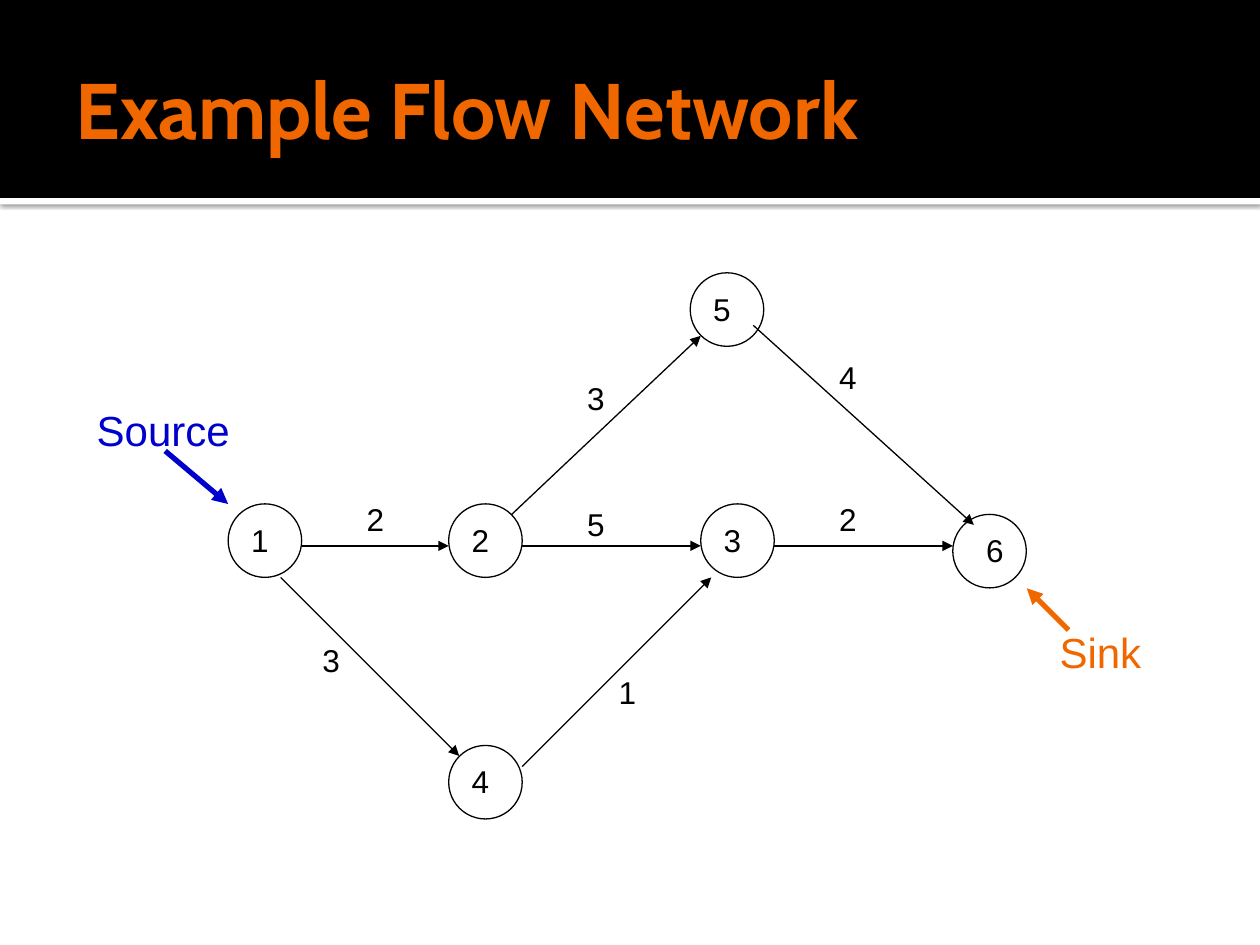
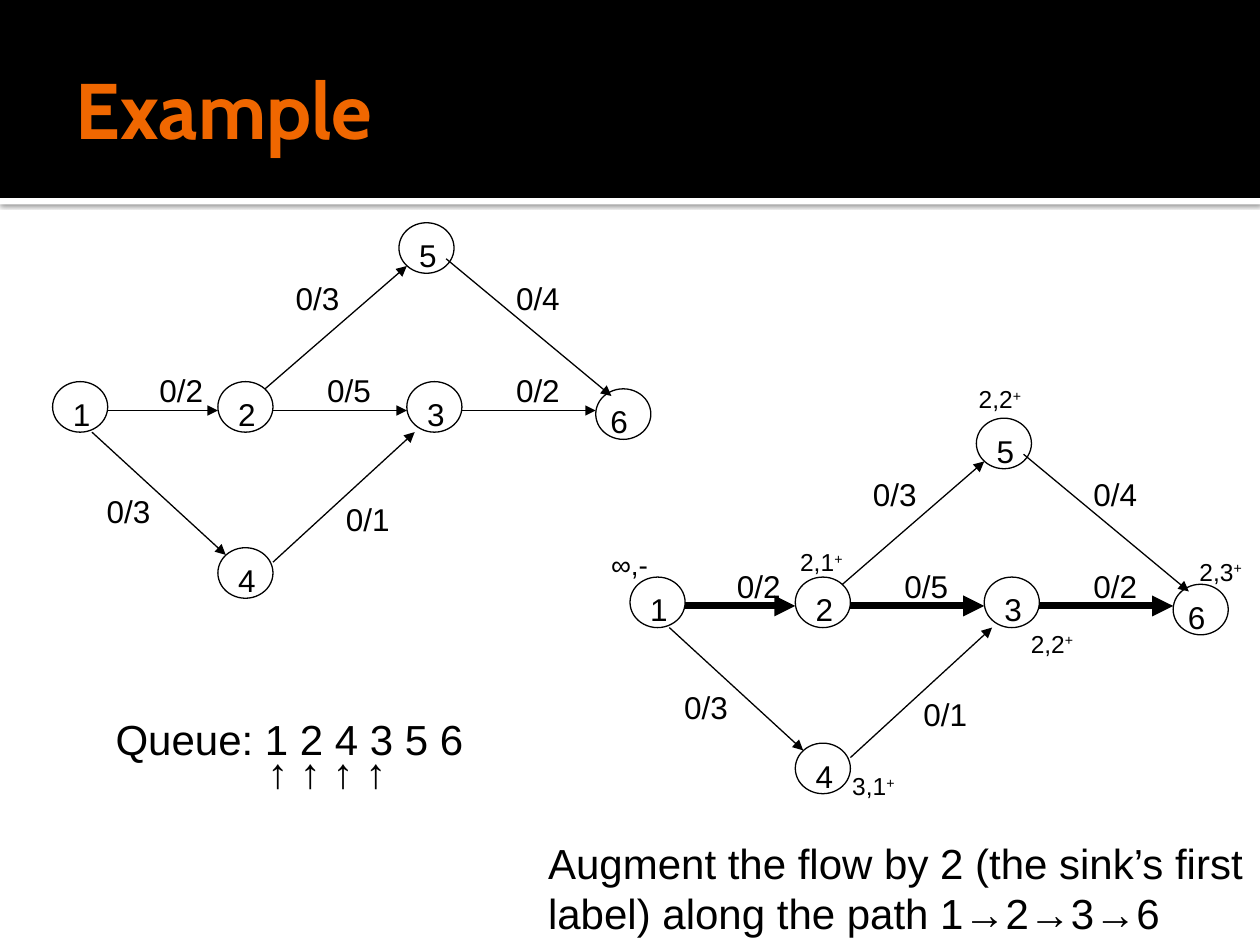
from lxml import etree
from pptx import Presentation
from pptx.dml.color import RGBColor
from pptx.enum.shapes import MSO_CONNECTOR, MSO_SHAPE
from pptx.enum.text import MSO_ANCHOR, MSO_AUTO_SIZE
from pptx.oxml import parse_xml
from pptx.oxml.ns import nsdecls, qn
from pptx.util import Cm, Pt

RECTANGLE, OVAL = MSO_SHAPE.RECTANGLE, MSO_SHAPE.OVAL
STRAIGHT = MSO_CONNECTOR.STRAIGHT
MIDDLE = MSO_ANCHOR.MIDDLE
GROW, FIXED = MSO_AUTO_SIZE.SHAPE_TO_FIT_TEXT, MSO_AUTO_SIZE.NONE

BLACK = RGBColor(0x00, 0x00, 0x00)
WHITE = RGBColor(0xFF, 0xFF, 0xFF)
ORANGE = RGBColor(0xF0, 0x67, 0x00)
BLUE = RGBColor(0x00, 0x00, 0xCC)
TITLE_FONT, BODY_FONT = "Cabin", "Arial"

SLIDE_WIDTH, SLIDE_HEIGHT = 25.4, 19.05
BAND_HEIGHT = 3.99
STRIP_HEIGHT = 0.13

# Every network is laid out on the same grid, stretched to its box.
GRID_COLUMNS, GRID_ROWS = 76, 52
NODE_CELLS = 7
NODES = {1: (0, 22), 4: (21, 45), 3: (45, 22), 2: (21, 22), 5: (44, 0), 6: (69, 23)}
EDGES = {
    (1, 4): ((5, 29), (22, 46)),
    (1, 2): ((7, 26), (21, 26)),
    (2, 5): ((27, 23), (45, 6)),
    (2, 3): ((28, 26), (45, 26)),
    (4, 3): ((28, 47), (46, 29)),
    (3, 6): ((52, 26), (69, 26)),
    (5, 6): ((50, 5), (71, 24)),
}
CAPACITIES = {
    (1, 2): ("2", 12, 21),
    (3, 6): ("2", 57, 21),
    (1, 4): ("3", 7.8, 34.5),
    (4, 3): ("1", 36, 37.5),
    (2, 3): ("5", 33, 21.5),
    (2, 5): ("3", 33, 9.5),
    (5, 6): ("4", 57, 7.5),
}
FLOWS = {
    (1, 2): ("0/2", 12, 19.7),
    (3, 6): ("0/2", 57.3, 19.7),
    (1, 4): ("0/3", 5.3, 36.5),
    (4, 3): ("0/1", 35.7, 37.5),
    (2, 3): ("0/5", 33.3, 19.7),
    (2, 5): ("0/3", 29.3, 7),
    (5, 6): ("0/4", 57.3, 7),
}
AUGMENTING_PATH = {(1, 2), (2, 3), (3, 6)}
SMALL_SIZE = (12.06, 7.57)


def style(font, size, color=BLACK, name=BODY_FONT, bold=False):
    font.size, font.name, font.bold = Pt(size), name, bold
    font.color.rgb = color


def add_text(shapes, text, box, size, color=BLACK, wrap=False):
    textbox = shapes.add_textbox(*map(Cm, box))
    frame = textbox.text_frame
    frame.word_wrap = wrap
    frame.auto_size = GROW
    frame.text = text
    for paragraph in frame.paragraphs:
        style(paragraph.font, size, color)
    return frame


def add_arrow(shapes, start, end, color=BLACK, width=0.75):
    arrow = shapes.add_connector(STRAIGHT, *map(Cm, (*start, *end)))
    arrow.line.color.rgb = color
    arrow.line.width = Pt(width)
    etree.SubElement(arrow.line._get_or_add_ln(), qn("a:tailEnd"), type="triangle")
    etree.SubElement(arrow._element.spPr, qn("a:effectLst"))


def add_band(slide, top, height, color):
    band = slide.shapes.add_shape(RECTANGLE, 0, Cm(top), Cm(SLIDE_WIDTH), Cm(height))
    band.shadow.inherit = False
    band.fill.solid()
    band.fill.fore_color.rgb = color
    band.line.fill.background()
    return band


def add_titled_slide(prs, title):
    slide = prs.slides.add_slide(prs.slide_layouts[6])
    strip = add_band(slide, BAND_HEIGHT, STRIP_HEIGHT, WHITE)
    strip._element.spPr.find(qn("a:effectLst")).append(parse_xml(
        f'<a:outerShdw {nsdecls("a")} blurRad="31750" dist="10160" dir="5400000" '
        'algn="tl" rotWithShape="0"><a:srgbClr val="000000">'
        '<a:alpha val="60000"/></a:srgbClr></a:outerShdw>'))
    add_band(slide, 0, BAND_HEIGHT, BLACK)
    frame = add_text(slide.shapes, title, (1.27, 0.43, 22.86, 3.48), 45, wrap=True)
    frame.auto_size = FIXED
    frame.vertical_anchor = MIDDLE
    style(frame.paragraphs[0].font, 45, ORANGE, TITLE_FONT, True)
    return slide


def add_network(slide, box, edge_labels, last_number_shift, thick_edges=()):
    """Draw the flow network in box; last_number_shift moves the 6 inside its node."""
    left, top, width, height = box
    column, row = width / GRID_COLUMNS, height / GRID_ROWS
    shapes = slide.shapes.add_group_shape().shapes

    def place(x, y):
        return left + x * column, top + y * row

    def add_label(text, x, y):
        label_width = 0.86 if len(text) == 1 else 1.4
        add_text(shapes, text, (*place(x, y), label_width, 1.02), 18)

    for x, y in NODES.values():
        node = shapes.add_shape(OVAL, *map(Cm, (
            *place(x, y), NODE_CELLS * column, NODE_CELLS * row)))
        node.shadow.inherit = False
        node.fill.background()
        node.line.color.rgb = BLACK
        node.line.width = Pt(0.75)
    for edge, (start, end) in EDGES.items():
        add_arrow(shapes, place(*start), place(*end),
                  width=4 if edge in thick_edges else 0.75)
    for number, (x, y) in NODES.items():
        add_label(str(number), x + (last_number_shift if number == 6 else 1), y + 1)
    for label in edge_labels.values():
        add_label(*label)


def add_node_label(slide, amount, left, top):
    """Write a node's label, whose sign is raised."""
    frame = add_text(slide.shapes, amount, (left, top, 1.47, 0.84), 14, wrap=True)
    sign = frame.paragraphs[0].add_run()
    sign.text = "+"
    sign._r.get_or_add_rPr().set("baseline", "30000")


def add_queue(slide, box):
    frame = add_text(slide.shapes, "Queue: 1 2 4 3 5 6\n↑ ↑ ↑ ↑", box, 24, wrap=True)
    for paragraph in frame.paragraphs:
        paragraph.line_spacing = 0.25
    visited = frame.paragraphs[1]
    visited.space_before = Pt(12)
    visited._p.get_or_add_pPr().set("marL", str(Cm(3.06)))


def build_flow_network(prs):
    slide = add_titled_slide(prs, "Example Flow Network")
    add_network(slide, (4.6, 5.5, 16.09, 11.01), CAPACITIES, 2)
    add_text(slide.shapes, "Source", (1.7, 8.03, 3.23, 1.27), 24, BLUE)
    add_text(slide.shapes, "Sink", (21.11, 12.5, 2.18, 1.27), 24, ORANGE)
    add_arrow(slide.shapes, (3.33, 9.09), (4.6, 10.16), BLUE, 3)
    add_arrow(slide.shapes, (21.54, 12.7), (20.7, 11.86), ORANGE, 3)


def build_augmentation(prs):
    slide = add_titled_slide(prs, "Example")
    add_queue(slide, (2.08, 14.9, 8.03, 1.27))
    add_text(slide.shapes,
             "Augment the flow by 2 (the sink’s first label) along the path 1→2→3→6",
             (10.8, 16.76, 14.6, 2.31), 24, wrap=True)
    add_network(slide, (1.06, 4.49, *SMALL_SIZE), FLOWS, 0.3)
    add_network(slide, (12.7, 8.43, *SMALL_SIZE), FLOWS, 0.3, AUGMENTING_PATH)
    add_text(slide.shapes, "∞,-", (12.07, 10.92, 1.27, 0.94), 16, wrap=True)
    for amount, left, top in (
        ("2,1", 15.88, 10.9),
        ("2,2", 19.48, 7.62),
        ("2,3", 23.93, 11.1),
        ("2,2", 20.53, 12.55),
        ("3,1", 16.93, 15.42),
    ):
        add_node_label(slide, amount, left, top)


def main():
    prs = Presentation()
    prs.slide_width, prs.slide_height = Cm(SLIDE_WIDTH), Cm(SLIDE_HEIGHT)
    build_flow_network(prs)
    build_augmentation(prs)
    prs.save("out.pptx")


if __name__ == "__main__":
    main()
